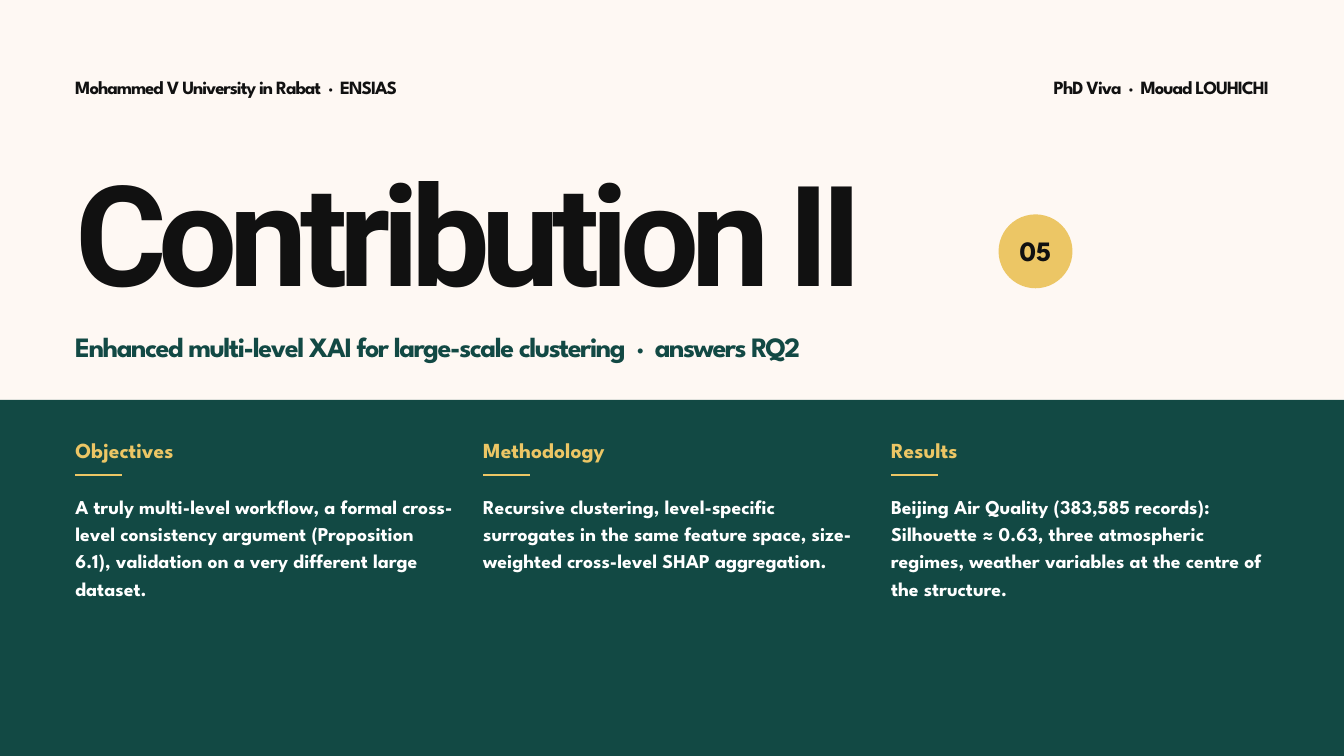
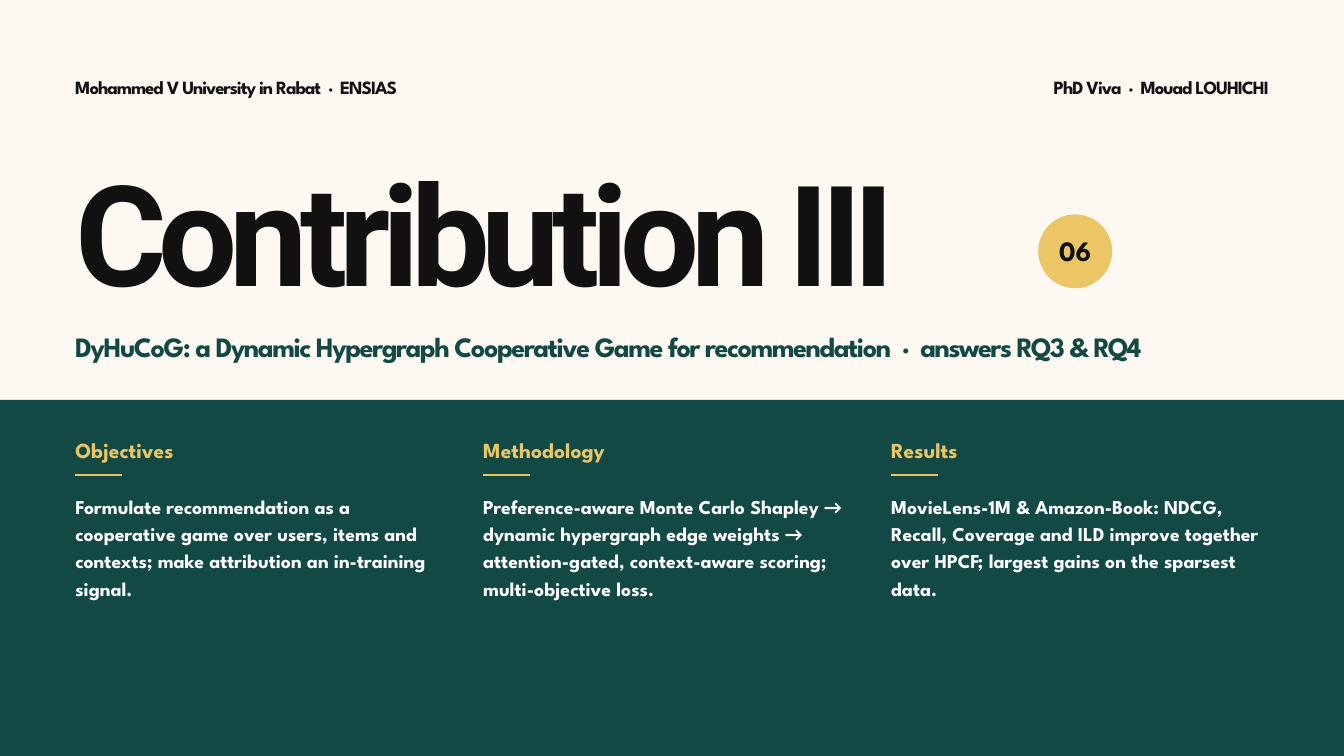
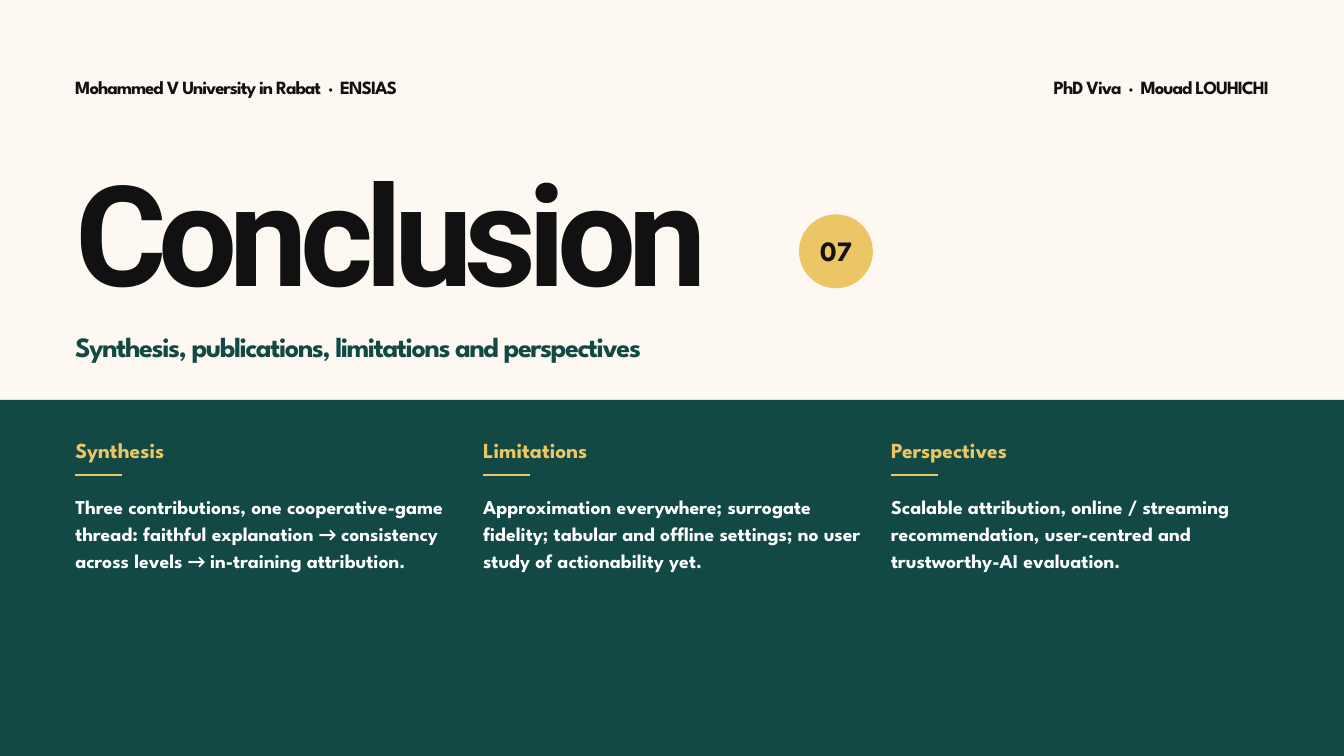
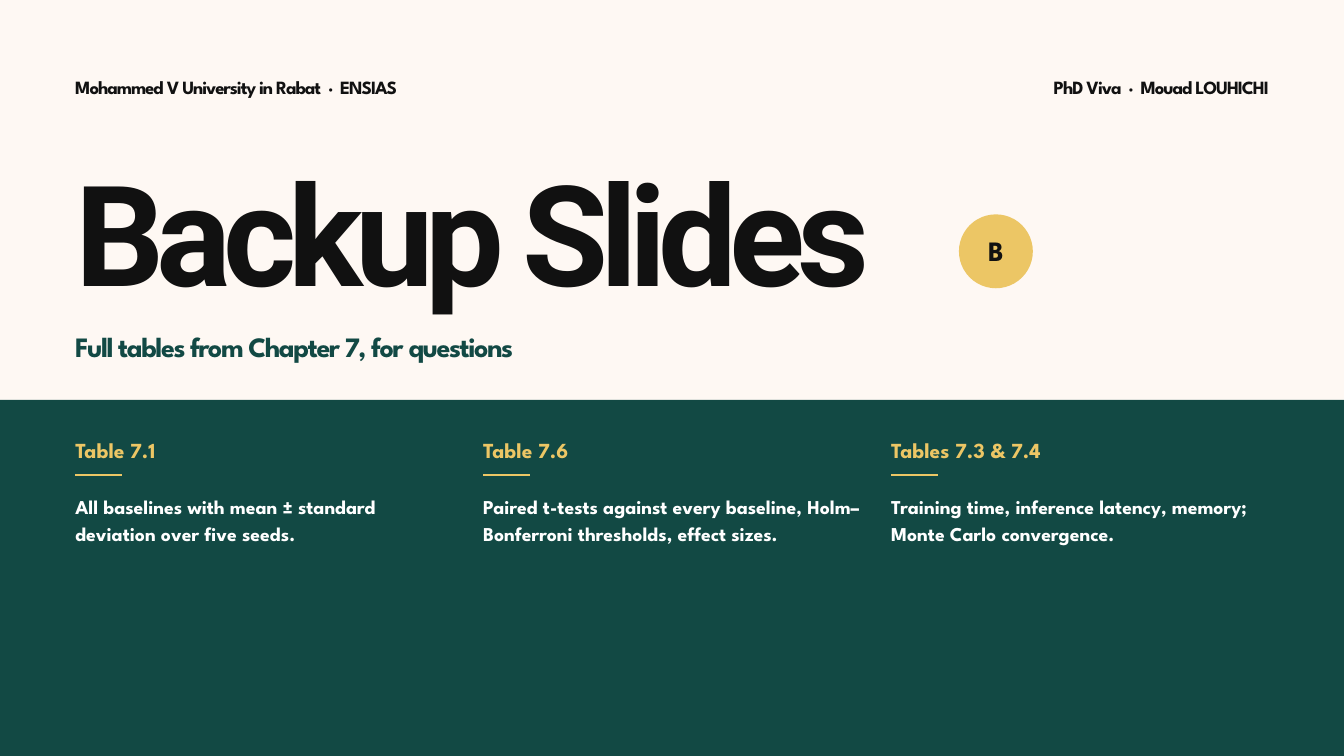
from dataclasses import dataclass

from pptx import Presentation
from pptx.dml.color import RGBColor
from pptx.enum.shapes import MSO_CONNECTOR, MSO_SHAPE
from pptx.enum.text import MSO_ANCHOR, PP_ALIGN
from pptx.oxml.ns import qn
from pptx.util import Inches, Pt

LEFT, RIGHT, CENTER = PP_ALIGN.LEFT, PP_ALIGN.RIGHT, PP_ALIGN.CENTER
TOP, MIDDLE = MSO_ANCHOR.TOP, MSO_ANCHOR.MIDDLE
RECT, OVAL = MSO_SHAPE.RECTANGLE, MSO_SHAPE.OVAL
STRAIGHT = MSO_CONNECTOR.STRAIGHT


@dataclass(frozen=True)
class Style:
    size: float
    leading: float
    color: str
    font: str = "League Spartan"
    spacing: float = 0


class Theme:
    paper, ink, green, gold, white = "FEF8F3", "111111", "124944", "ECC665", "FFFFFF"
    arrow_font = "Calibri"
    rule_width = 2.5
    header = Style(20, 28, ink, spacing=-1.1)
    title = Style(150, 153, ink, "Roboto", -8.7)
    subtitle = Style(30, 38, green, spacing=-1.5)
    badge = Style(30, 34, ink)
    heading = Style(23, 28, gold)
    body = Style(21, 29.4, white)


@dataclass(frozen=True)
class Box:
    """A region in inches; inner boxes are placed relative to it."""
    x: float
    y: float
    w: float
    h: float

    def inner(self, dx, dy, w, h):
        return Box(self.x + dx, self.y + dy, w, h)

    def columns(self, count, gap):
        w = (self.w - gap * (count - 1)) / count
        return [self.inner(i * (w + gap), 0, w, self.h) for i in range(count)]

    def emu(self):
        return [Inches(v) for v in (self.x, self.y, self.w, self.h)]


# Slide grid
WIDTH, HEIGHT = 20, 11.25
MARGIN = 1.12
CONTENT = WIDTH - 2 * MARGIN
HEADER = Box(MARGIN, 1.08, CONTENT, 0.4)
TITLE = Box(MARGIN, 2.55, CONTENT, 3.03)
PANEL = Box(0, 5.95, WIDTH, HEIGHT - 5.95)
COLUMN_GAP = 0.45
BADGE = 1.1

HEADER_LEFT = "Mohammed V University in Rabat  ·  ENSIAS"
HEADER_RIGHT = "PhD Viva  ·  Mouad LOUHICHI"

# Title, badge text, badge offset from the margin, subtitle, (heading, body) columns
SECTIONS = [
    ("Contribution II", "05", 13.74,
     "Enhanced multi-level XAI for large-scale clustering  ·  answers RQ2",
     [("Objectives", "A truly multi-level workflow, a formal cross-level consistency argument "
       "(Proposition 6.1), validation on a very different large dataset."),
      ("Methodology", "Recursive clustering, level-specific surrogates in the same feature space, "
       "size-weighted cross-level SHAP aggregation."),
      ("Results", "Beijing Air Quality (383,585 records): Silhouette ≈ 0.63, three atmospheric "
       "regimes, weather variables at the centre of the structure.")]),
    ("Contribution III", "06", 14.33,
     "DyHuCoG: a Dynamic Hypergraph Cooperative Game for recommendation  ·  answers RQ3 & RQ4",
     [("Objectives", "Formulate recommendation as a cooperative game over users, items and "
       "contexts; make attribution an in-training signal."),
      ("Methodology", "Preference-aware Monte Carlo Shapley → dynamic hypergraph edge weights → "
       "attention-gated, context-aware scoring; multi-objective loss."),
      ("Results", "MovieLens-1M & Amazon-Book: NDCG, Recall, Coverage and ILD improve together "
       "over HPCF; largest gains on the sparsest data.")]),
    ("Conclusion", "07", 10.77,
     "Synthesis, publications, limitations and perspectives",
     [("Synthesis", "Three contributions, one cooperative-game thread: faithful explanation → "
       "consistency across levels → in-training attribution."),
      ("Limitations", "Approximation everywhere; surrogate fidelity; tabular and offline "
       "settings; no user study of actionability yet."),
      ("Perspectives", "Scalable attribution, online / streaming recommendation, user-centred "
       "and trustworthy-AI evaluation.")]),
    ("Backup Slides", "B", 13.15,
     "Full tables from Chapter 7, for questions",
     [("Table 7.1", "All baselines with mean ± standard deviation over five seeds."),
      ("Table 7.6", "Paired t-tests against every baseline, Holm–Bonferroni thresholds, "
       "effect sizes."),
      ("Tables 7.3 & 7.4", "Training time, inference latency, memory; Monte Carlo "
       "convergence.")]),
]


def write(sp, text, style, align=LEFT, anchor=TOP):
    """Fill a shape with one paragraph; arrows get their own font."""
    tf = sp.text_frame
    tf.word_wrap = True
    tf.vertical_anchor = anchor
    tf.margin_left = tf.margin_right = tf.margin_top = tf.margin_bottom = 0
    p = tf.paragraphs[0]
    p.alignment = align
    p.line_spacing = Pt(style.leading)
    p.font.name = style.font
    p.font.size = Pt(style.size)
    p.font.bold = True
    p.font.color.rgb = RGBColor.from_string(style.color)
    if style.spacing:
        p._p.pPr.find(qn("a:defRPr")).set("spc", str(round(style.spacing * 100)))
    for i, part in enumerate(text.split("→ ")):
        if i:
            r = p.add_run()
            r.text = "→ "
            r.font.name = Theme.arrow_font
        p.add_run().text = part


def add_text(s, box, text, style, align=LEFT):
    write(s.shapes.add_textbox(*box.emu()), text, style, align)


def add_block(s, box, kind, color):
    sp = s.shapes.add_shape(kind, *box.emu())
    sp.shadow.inherit = False
    sp.fill.solid()
    sp.fill.fore_color.rgb = RGBColor.from_string(color)
    sp.line.fill.background()
    return sp


def add_rule(s, box):
    x, y, w, _ = box.emu()
    line = s.shapes.add_connector(STRAIGHT, x, y, x + w, y)
    line.line.color.rgb = RGBColor.from_string(Theme.gold)
    line.line.width = Pt(Theme.rule_width)
    line._element.spPr.add_effectLst() if hasattr(line._element.spPr, "add_effectLst") else \
        line._element.spPr.get_or_add_effectLst()


def header(s, box):
    add_text(s, box.inner(0, 0, 8, box.h), HEADER_LEFT, Theme.header)
    add_text(s, box.inner(box.w - 8, 0, 8, box.h), HEADER_RIGHT, Theme.header, RIGHT)


def title_block(s, box, title, badge, badge_dx, subtitle):
    add_text(s, box.inner(0, 0, 16.25, 2.5), title, Theme.title)
    sp = add_block(s, box.inner(badge_dx, 0.64, BADGE, BADGE), OVAL, Theme.gold)
    write(sp, badge, Theme.badge, CENTER, MIDDLE)
    add_text(s, box.inner(0, 2.33, box.w, 0.7), subtitle, Theme.subtitle)


def column(s, box, heading, body):
    add_text(s, box.inner(0, 0, box.w, 0.5), heading, Theme.heading)
    add_rule(s, box.inner(0, 0.57, 0.7, 0))
    add_text(s, box.inner(0, 0.8, box.w, 3.4), body, Theme.body)


def panel(s, box, items):
    add_block(s, box, RECT, Theme.green)
    grid = box.inner(MARGIN, 0.55, box.w - 2 * MARGIN, 4.2)
    for cell, (heading, body) in zip(grid.columns(len(items), COLUMN_GAP), items):
        column(s, cell, heading, body)


def section_slide(prs, title, badge, badge_dx, subtitle, items):
    s = prs.slides.add_slide(prs.slide_layouts[6])
    s.background.fill.solid()
    s.background.fill.fore_color.rgb = RGBColor.from_string(Theme.paper)
    header(s, HEADER)
    title_block(s, TITLE, title, badge, badge_dx, subtitle)
    panel(s, PANEL, items)


def main():
    prs = Presentation()
    prs.slide_width, prs.slide_height = Inches(WIDTH), Inches(HEIGHT)
    for section in SECTIONS:
        section_slide(prs, *section)
    prs.save("out.pptx")


if __name__ == "__main__":
    main()
